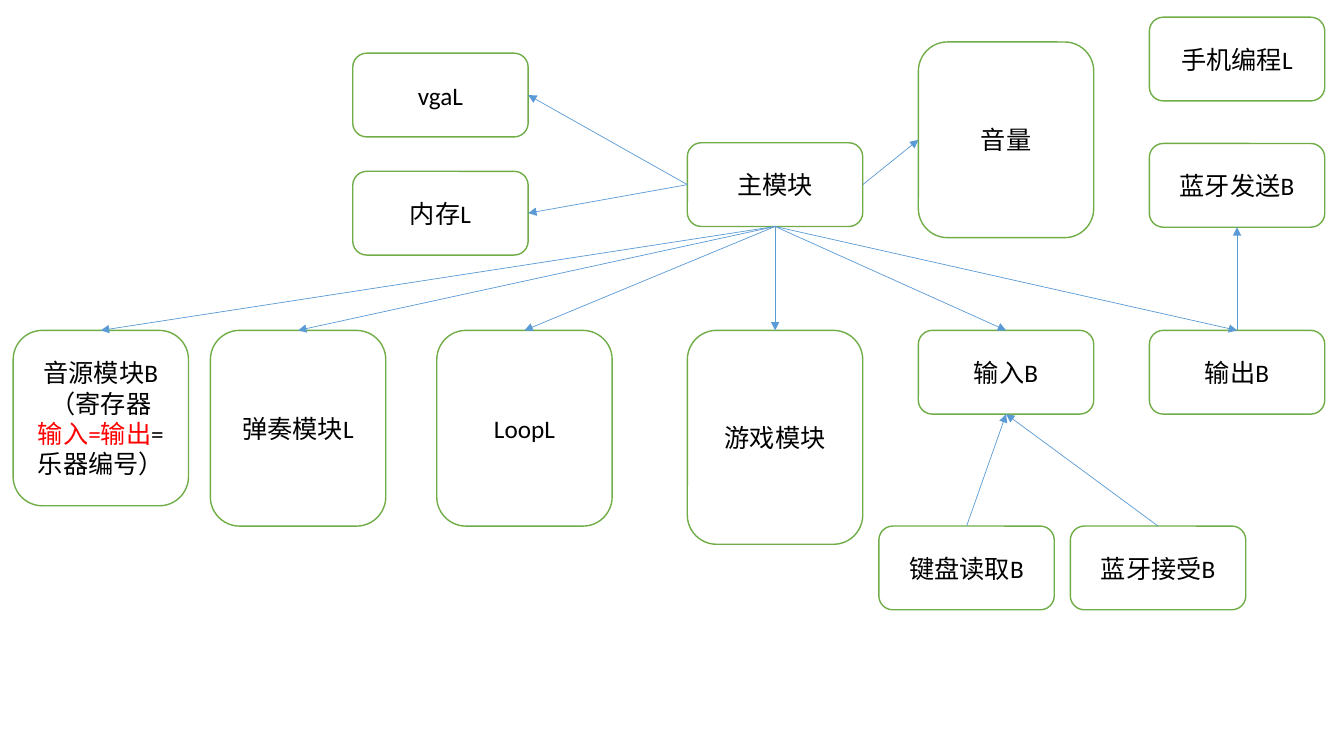
"""Build a module diagram: a main module linked to its inputs, outputs and features."""
from lxml import etree
from pptx import Presentation
from pptx.dml.color import RGBColor
from pptx.enum.shapes import MSO_CONNECTOR, MSO_SHAPE
from pptx.enum.text import MSO_ANCHOR, PP_ALIGN
from pptx.oxml.ns import qn
from pptx.util import Pt

ROUNDED = MSO_SHAPE.ROUNDED_RECTANGLE
STRAIGHT = MSO_CONNECTOR.STRAIGHT
MIDDLE = MSO_ANCHOR.MIDDLE
CENTER = PP_ALIGN.CENTER
WHITE = RGBColor(0xFF, 0xFF, 0xFF)
BLACK = RGBColor(0x00, 0x00, 0x00)
RED = RGBColor(0xFF, 0x00, 0x00)
GREEN = RGBColor(0x70, 0xAD, 0x47)
BLUE = RGBColor(0x5B, 0x9B, 0xD5)

TOP, LEFT, BOTTOM, RIGHT = range(4)
WIDTH = 125.3
LOW, SQUARE, TALL, TALLEST = 59.8, 125.3, 139.8, 152.8
MAIN_X, INPUT_X, OUTPUT_X, STORE_X = 491, 656, 821, 252
MAIN_Y, ROW_Y, READER_Y = 102, 236, 375.8

MODULES = {
    "主模块": (MAIN_X, MAIN_Y, LOW),
    "音源模块B\n（寄存器\n输入=输出=乐器编号）": (9.4, ROW_Y, SQUARE),
    "弹奏模块L": (150.3, ROW_Y, TALL),
    "LoopL": (312, ROW_Y, TALL),
    "游戏模块": (MAIN_X, ROW_Y, TALLEST),
    "输入B": (INPUT_X, ROW_Y, LOW),
    "输出B": (OUTPUT_X, ROW_Y, LOW),
    "键盘读取B": (627.8, READER_Y, LOW),
    "蓝牙接受B": (764.6, READER_Y, LOW),
    "vgaL": (STORE_X, 38, LOW),
    "内存L": (STORE_X, 122.4, LOW),
    "音量": (INPUT_X, 30, TALL),
    "蓝牙发送B": (OUTPUT_X, 102.5, LOW),
    "手机编程L": (OUTPUT_X, 12.3, LOW),
}
HIGHLIGHT = "输入=输出"

prs = Presentation()
prs.slide_width, prs.slide_height = Pt(960), Pt(540)
slide = prs.slides.add_slide(prs.slide_layouts[6])

boxes = {}
for label, (left, top, height) in MODULES.items():
    box = slide.shapes.add_shape(ROUNDED, Pt(left), Pt(top), Pt(WIDTH), Pt(height))
    box.shadow.inherit = False
    box.fill.solid()
    box.fill.fore_color.rgb = WHITE
    box.line.color.rgb = GREEN
    box.line.width = Pt(1)
    frame = box.text_frame
    frame.word_wrap = True
    frame.vertical_anchor = MIDDLE
    frame.text = label
    for line in frame.paragraphs:
        line.alignment = CENTER
        line.font.name = "Calibri"
        line.font.size = Pt(18)
        line.font.color.rgb = BLACK
        if line.text.startswith(HIGHLIGHT):
            highlighted = line.runs[0]
            remainder = line.add_run()
            remainder.text = highlighted.text.removeprefix(HIGHLIGHT)
            remainder.font.color.rgb = BLACK
            highlighted.text = HIGHLIGHT
            highlighted.font.color.rgb = RED
    boxes[label.split("\n")[0]] = box

LINKS = [("主模块", BOTTOM, feature, TOP)
         for feature in ("音源模块B", "弹奏模块L", "LoopL", "游戏模块", "输入B", "输出B")]
LINKS += [("主模块", LEFT, store, RIGHT) for store in ("vgaL", "内存L")]
LINKS += [(reader, TOP, "输入B", BOTTOM) for reader in ("键盘读取B", "蓝牙接受B")]
LINKS += [("主模块", RIGHT, "音量", LEFT), ("输出B", TOP, "蓝牙发送B", BOTTOM)]

for source, source_side, target, target_side in LINKS:
    arrow = slide.shapes.add_connector(STRAIGHT, 0, 0, 0, 0)
    arrow.begin_connect(boxes[source], source_side)
    arrow.end_connect(boxes[target], target_side)
    arrow.line.color.rgb = BLUE
    arrow.line.width = Pt(0.5)
    etree.SubElement(arrow.line._get_or_add_ln(), qn("a:tailEnd"), type="triangle")
    etree.SubElement(arrow._element.spPr, qn("a:effectLst"))

prs.save("out.pptx")
